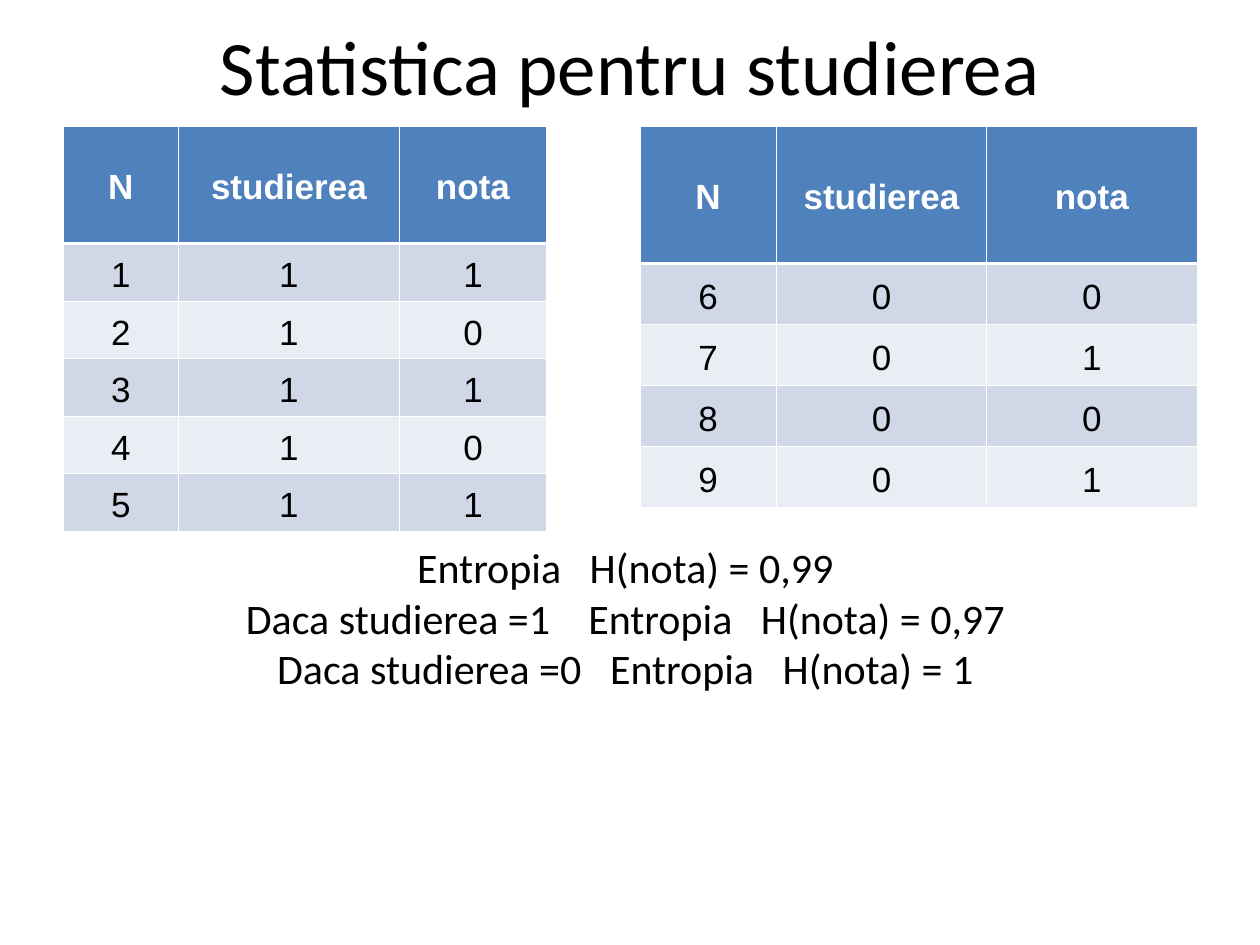
from lxml import etree
from pptx import Presentation
from pptx.dml.color import RGBColor
from pptx.enum.text import MSO_ANCHOR, PP_ALIGN
from pptx.oxml.ns import qn
from pptx.util import Cm, Pt

CENTER = PP_ALIGN.CENTER
MIDDLE = MSO_ANCHOR.MIDDLE

BLACK, WHITE = "000000", "FFFFFF"
HEADER_FILL = "4F81BD"
BAND_FILLS = ("D0D8E8", "E9EDF4")
THIN, THICK = 0.45, 1.47
SPACE_WIDTH = 5.42  # points, one Calibri space at 24 pt

HEADINGS = ("N", "studierea", "nota")
STUDIED = [(1, 1, 1), (2, 1, 0), (3, 1, 1), (4, 1, 0), (5, 1, 1)]
NOT_STUDIED = [(6, 0, 0), (7, 0, 1), (8, 0, 0), (9, 0, 1)]

# Each line alternates words with the gap after them, counted in spaces.
ENTROPY_LINES = [
    ("Entropia", 3, "H(nota) = 0,99"),
    ("Daca studierea =1", 4, "Entropia", 3, "H(nota) = 0,97"),
    ("Daca studierea =0", 3, "Entropia", 3, "H(nota) = 1"),
]


def color(value):
    return RGBColor.from_string(value)


def format_paragraph(paragraph, font_name, size, font_color, bold=False):
    paragraph.alignment = CENTER
    font = paragraph.font
    font.name, font.size, font.bold = font_name, Pt(size), bold
    font.color.rgb = color(font_color)


def add_border(cell, side, width):
    properties = cell._tc.get_or_add_tcPr()
    line = etree.SubElement(properties, qn(f"a:ln{side}"), w=str(int(Pt(width))))
    fill = etree.SubElement(line, qn("a:solidFill"))
    etree.SubElement(fill, qn("a:srgbClr"), val=WHITE)


def format_cell(cell, value, row_index):
    is_header = row_index == 0
    top = THICK if row_index == 1 else THIN
    bottom = THICK if is_header else THIN
    for side, width in (("L", THIN), ("R", THIN), ("T", top), ("B", bottom)):
        add_border(cell, side, width)
    cell.fill.solid()
    fill = HEADER_FILL if is_header else BAND_FILLS[(row_index - 1) % 2]
    cell.fill.fore_color.rgb = color(fill)
    cell.vertical_anchor = MIDDLE
    cell.margin_left = cell.margin_right = Cm(0.2)
    cell.text = str(value)
    paragraph = cell.text_frame.paragraphs[0]
    paragraph.line_spacing = 1.15
    paragraph.space_after = Pt(10)
    format_paragraph(paragraph, "Arial", 20, WHITE if is_header else BLACK, is_header)


def add_grades_table(slide, left, top, column_widths, header_height, row_height, records):
    rows = [HEADINGS, *records]
    height = header_height + row_height * len(records)
    frame = slide.shapes.add_table(len(rows), len(HEADINGS), Cm(left), Cm(top),
                                   Cm(sum(column_widths)), Cm(height))
    table = frame.table
    for column, width in zip(table.columns, column_widths):
        column.width = Cm(width)
    for row_index, values in enumerate(rows):
        table.rows[row_index].height = Cm(row_height if row_index else header_height)
        for column_index, value in enumerate(values):
            format_cell(table.cell(row_index, column_index), value, row_index)


def set_title(slide, text, left, top, width, height):
    title = slide.shapes.title
    title.left, title.top = Cm(left), Cm(top)
    title.width, title.height = Cm(width), Cm(height)
    title.text_frame.text = text
    title.text_frame.vertical_anchor = MIDDLE
    format_paragraph(title.text_frame.paragraphs[0], "Calibri", 44, BLACK)


def add_gap(paragraph, spaces):
    """Widen a single space with character spacing."""
    run = paragraph.add_run()
    run.text = " "
    extra = (spaces - 1) * SPACE_WIDTH
    run._r.get_or_add_rPr().set("spc", str(round(extra * 100)))


def add_entropy_lines(slide, left, top, width, height):
    box = slide.shapes.add_textbox(Cm(left), Cm(top), Cm(width), Cm(height))
    frame = box.text_frame
    frame.word_wrap = True
    for index, parts in enumerate(ENTROPY_LINES):
        paragraph = frame.add_paragraph() if index else frame.paragraphs[0]
        for part in parts:
            if isinstance(part, int):
                add_gap(paragraph, part)
            else:
                paragraph.add_run().text = part
        format_paragraph(paragraph, "Calibri", 24, BLACK)


def main():
    presentation = Presentation()
    presentation.slide_width, presentation.slide_height = Cm(25.4), Cm(19.05)
    slide = presentation.slides.add_slide(presentation.slide_layouts[5])
    set_title(slide, "Statistica pentru studierea", 1.27, 0.2, 22.86, 2.2)
    add_grades_table(slide, 1.27, 2.54, (2.33, 4.45, 2.97), 2.37, 1.16, STUDIED)
    add_entropy_lines(slide, 0.64, 10.8, 23.93, 4.32)
    add_grades_table(slide, 12.9, 2.54, (2.75, 4.24, 4.24), 2.77, 1.23, NOT_STUDIED)
    presentation.save("out.pptx")


if __name__ == "__main__":
    main()
